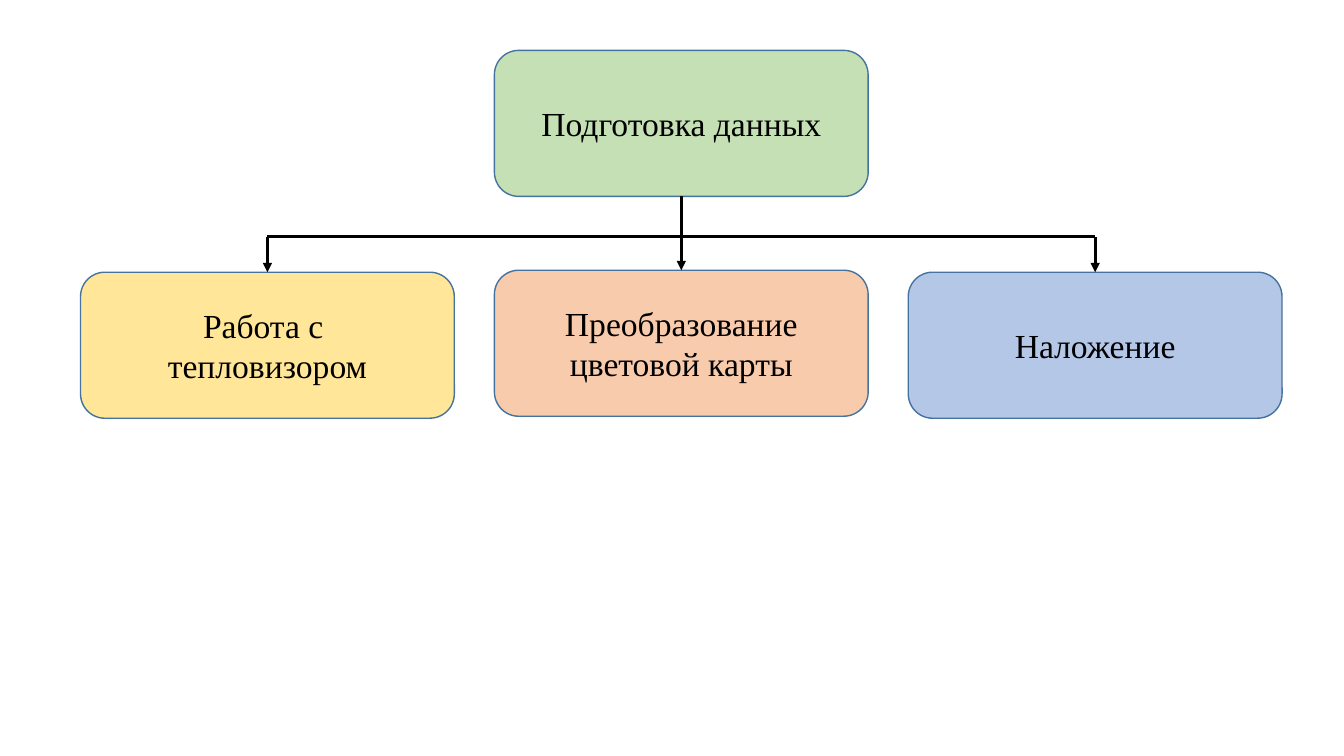
from dataclasses import dataclass

from lxml import etree
from pptx import Presentation
from pptx.dml.color import RGBColor
from pptx.enum.shapes import MSO_CONNECTOR, MSO_SHAPE
from pptx.enum.text import MSO_ANCHOR, PP_ALIGN
from pptx.oxml.ns import qn
from pptx.util import Cm, Pt

ROUNDED = MSO_SHAPE.ROUNDED_RECTANGLE
STRAIGHT = MSO_CONNECTOR.STRAIGHT
MIDDLE = MSO_ANCHOR.MIDDLE
CENTER = PP_ALIGN.CENTER
TOP_SITE, BOTTOM_SITE = 0, 2
BLANK_LAYOUT = 6


@dataclass(frozen=True)
class Theme:
    font: str = "Times New Roman"
    text_size: int = 24
    ink: str = "000000"
    outline: str = "43739E"
    outline_width: float = 1
    arrow_width: float = 2.25
    green: str = "C5E0B4"
    yellow: str = "FFE699"
    orange: str = "F8CBAD"
    blue: str = "B4C7E7"


THEME = Theme()

# Lengths in centimetres
BOX_WIDTH, BOX_HEIGHT = 9.42, 3.68
COLUMN_PITCH = 10.43
BUS_TOP = 4.7  # below the top of the chart

ROOT = ("Подготовка данных", THEME.green)
# Text, fill, top below the top of the chart
STEPS = [
    ("Работа с \nтепловизором", THEME.yellow, 5.59),
    ("Преобразование\nцветовой карты", THEME.orange, 5.54),
    ("Наложение", THEME.blue, 5.59),
]


def add_box(slide, left, top, text, fill):
    shape = slide.shapes.add_shape(
        ROUNDED, Cm(left), Cm(top), Cm(BOX_WIDTH), Cm(BOX_HEIGHT))
    shape.shadow.inherit = False
    shape.fill.solid()
    shape.fill.fore_color.rgb = RGBColor.from_string(fill)
    shape.line.color.rgb = RGBColor.from_string(THEME.outline)
    shape.line.width = Pt(THEME.outline_width)
    frame = shape.text_frame
    frame.text = text
    frame.word_wrap = True
    frame.vertical_anchor = MIDDLE
    for paragraph in frame.paragraphs:
        paragraph.alignment = CENTER
        paragraph.font.name = THEME.font
        paragraph.font.size = Pt(THEME.text_size)
        paragraph.font.color.rgb = RGBColor.from_string(THEME.ink)
    return shape


def add_line(slide, start, end, arrow=False):
    connector = slide.shapes.add_connector(STRAIGHT, *start, *end)
    connector.line.color.rgb = RGBColor.from_string(THEME.ink)
    connector.line.width = Pt(THEME.arrow_width)
    if arrow:
        line = connector.line._get_or_add_ln()
        etree.SubElement(line, qn("a:tailEnd"), type="triangle")
    etree.SubElement(connector._element.spPr, qn("a:effectLst"))
    return connector


def top_center(shape):
    return shape.left + shape.width // 2, shape.top


def add_hierarchy(slide, left, top):
    # Root above the middle column, steps in a row
    root = add_box(slide, left + COLUMN_PITCH, top, *ROOT)
    steps = [
        add_box(slide, left + column * COLUMN_PITCH, top + offset, text, fill)
        for column, (text, fill, offset) in enumerate(STEPS)
    ]

    # Trunk and horizontal bus
    bus = Cm(top + BUS_TOP)
    root_center, root_top = top_center(root)
    trunk = add_line(slide, (root_center, root_top + root.height),
                     (root_center, bus))
    trunk.begin_connect(root, BOTTOM_SITE)
    centers = [top_center(step)[0] for step in steps]
    add_line(slide, (centers[0], bus), (centers[-1], bus))

    # Arrow from the bus to each step
    for step, center in zip(steps, centers):
        arrow = add_line(slide, (center, bus), top_center(step), arrow=True)
        arrow.end_connect(step, TOP_SITE)


presentation = Presentation()
presentation.slide_width = Cm(33.87)
presentation.slide_height = Cm(19.05)
slide = presentation.slides.add_slide(presentation.slide_layouts[BLANK_LAYOUT])
add_hierarchy(slide, left=2.03, top=1.27)
presentation.save("out.pptx")
